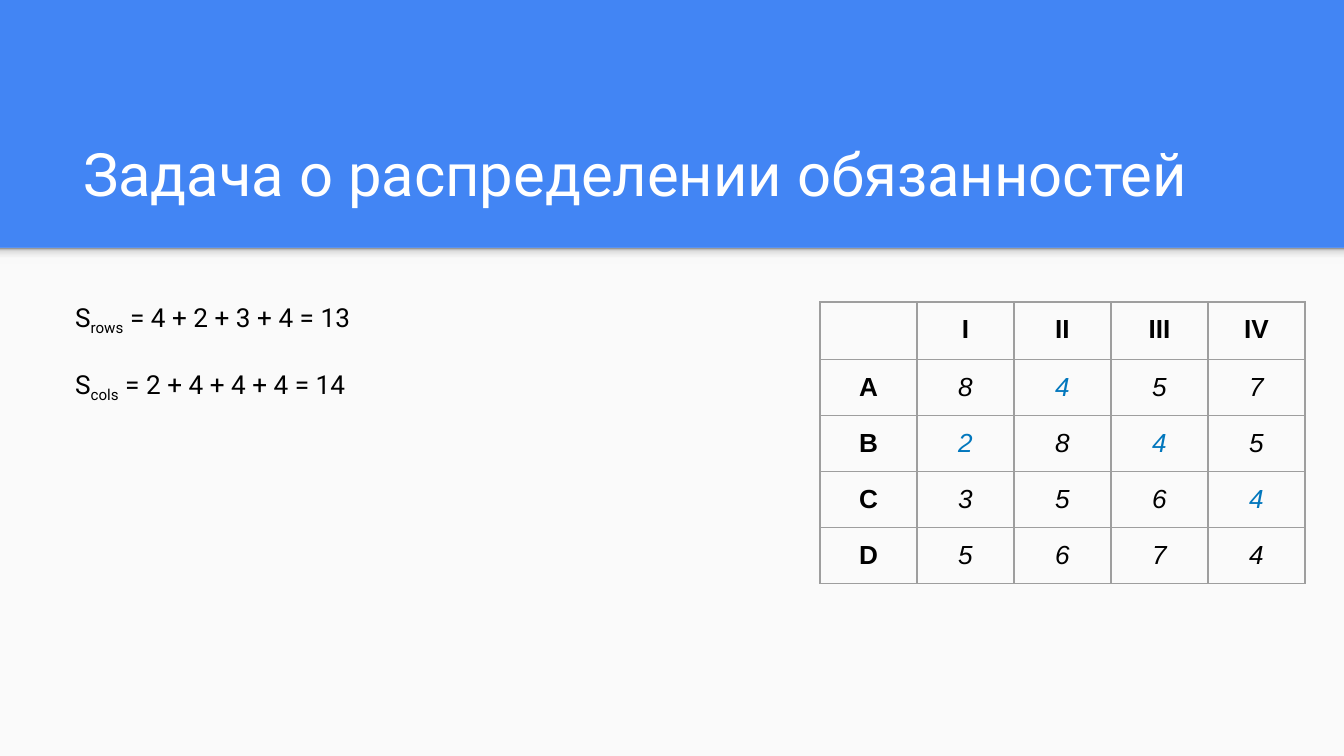
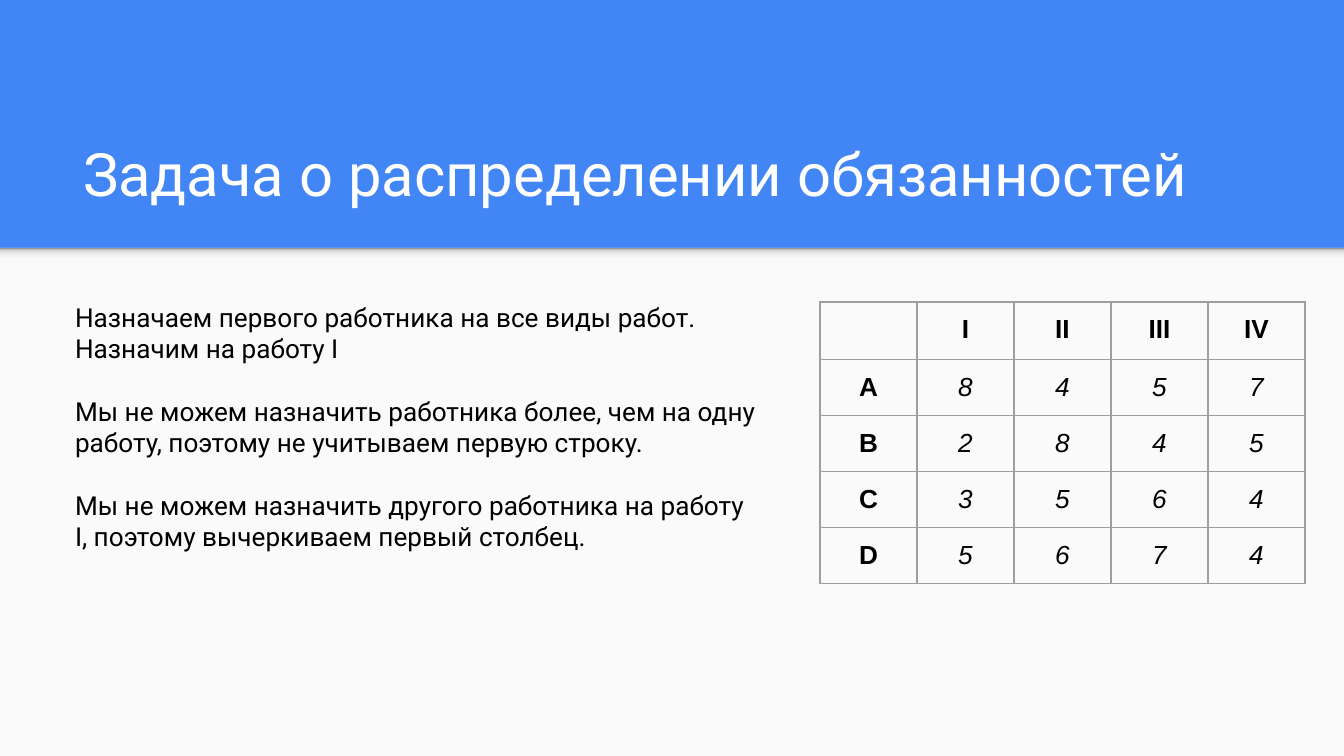
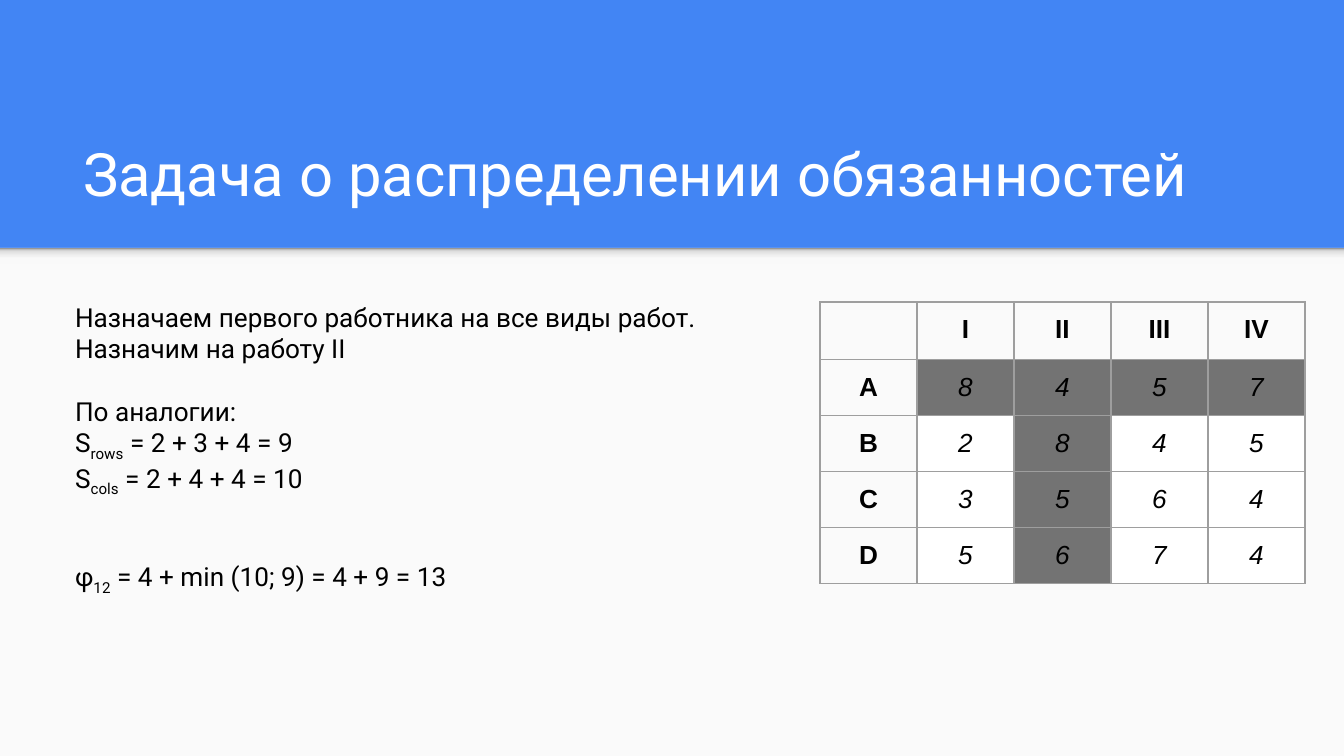
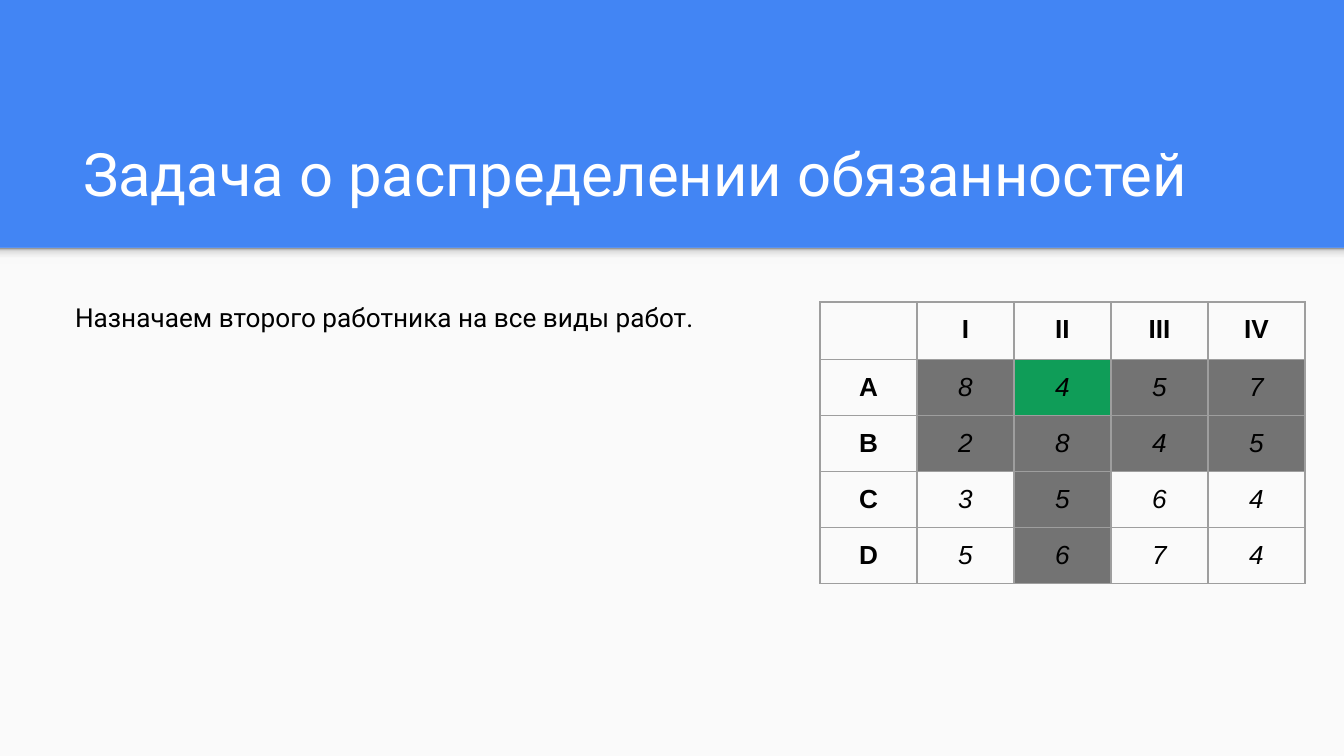
from lxml import etree
from pptx import Presentation, util as u
from pptx.dml.color import RGBColor
from pptx.enum import shapes, text
from pptx.oxml import ns

PX = 914400 / 134.4
WIDTH, HEIGHT, BAND_HEIGHT = 1344, 756, 248
INSET = 13
LINE_GAP = 16.8

COLORS = {
    "band": "4285F4",
    "paper": "FAFAFA",
    "white": "FFFFFF",
    "ink": "000000",
    "minimum": "0277BD",
    "crossed": "737373",
    "chosen": "0F9D58",
    "border": "9E9E9E",
}
SHADOW_STOPS = {0: "F9F9F9", 36: "F9F9F9", 80: "DEDEDE", 100: "999999"}

TITLE_FORMAT = {"name": "Roboto", "size": u.Pt(32), "color": "white"}
BODY_FORMAT = {"name": "Roboto", "size": u.Pt(14), "color": "ink"}
HEADING_FORMAT = {"name": "Arial", "size": u.Pt(14), "bold": True, "color": "ink"}
COST_FORMAT = {"name": "Arial", "size": u.Pt(14), "bold": False, "italic": True, "color": "ink"}

TITLE = "Задача о распределении обязанностей"
JOBS = ["I", "II", "III", "IV"]
WORKERS = "ABCD"
COSTS = [[8, 4, 5, 7], [2, 8, 4, 5], [3, 5, 6, 4], [5, 6, 7, 4]]
FIRST_WORKER = "Назначаем первого работника на все виды работ."


def px(length):
    return u.Emu(round(length * PX))


def rgb(name):
    return RGBColor.from_string(COLORS[name])


def place(shape, left, top, width, height):
    for name, value in zip(("left", "top", "width", "height"), (left, top, width, height)):
        setattr(shape, name, px(value))


def set_margins(target):
    for side in ("left", "top", "right", "bottom"):
        setattr(target, f"margin_{side}", px(INSET))


def add_run(paragraph, content, values, subscript=False):
    run = paragraph.add_run()
    run.text = content
    for name, value in values.items():
        if name == "color":
            run.font.color.rgb = rgb(value)
        else:
            setattr(run.font, name, value)
    if subscript:
        run._r.get_or_add_rPr().set("baseline", "-25000")


def add_backdrop_part(slide, layout, index, height):
    shape = slide.shapes.add_shape(
        shapes.MSO_SHAPE.RECTANGLE, 0, px(BAND_HEIGHT), px(WIDTH), px(height))
    shape.shadow.inherit = False
    shape.line.fill.background()
    shape.fill.solid()
    shape.fill.fore_color.rgb = rgb("paper")
    layout.shapes.element.insert(2 + index, shape.element)
    return shape


def fill_shadow(shape):
    solid = shape.element.spPr.find(ns.qn("a:solidFill"))
    gradient = etree.Element(ns.qn("a:gradFill"), rotWithShape="1")
    stops = etree.SubElement(gradient, ns.qn("a:gsLst"))
    for position, color in SHADOW_STOPS.items():
        stop = etree.SubElement(stops, ns.qn("a:gs"), pos=str(position * 1000))
        etree.SubElement(stop, ns.qn("a:srgbClr"), val=color)
    etree.SubElement(gradient, ns.qn("a:lin"), ang="16200000", scaled="0")
    solid.getparent().replace(solid, gradient)


def build_backdrop(slide, layout):
    layout.background.fill.solid()
    layout.background.fill.fore_color.rgb = rgb("band")
    add_backdrop_part(slide, layout, 0, HEIGHT - BAND_HEIGHT)
    fill_shadow(add_backdrop_part(slide, layout, 1, 16))


def set_title(slide):
    title = slide.shapes.title
    place(title, 70, 109, 1208, 113)
    frame = title.text_frame
    set_margins(frame)
    frame.auto_size = text.MSO_AUTO_SIZE.NONE
    frame.vertical_anchor = text.MSO_ANCHOR.BOTTOM
    frame.paragraphs[0].alignment = text.PP_ALIGN.LEFT
    add_run(frame.paragraphs[0], TITLE, TITLE_FORMAT)


def add_body(slide, paragraphs):
    frame = slide.shapes.add_textbox(px(62), px(288), px(711), px(403)).text_frame
    frame.word_wrap = True
    set_margins(frame)
    for index, (blank_lines, *parts) in enumerate(paragraphs):
        paragraph = frame.add_paragraph() if index else frame.paragraphs[0]
        if blank_lines:
            paragraph.space_before = u.Pt(blank_lines * LINE_GAP)
        for number, part in enumerate(parts):
            add_run(paragraph, part, BODY_FORMAT, subscript=number % 2 == 1)


def set_borders(cell):
    properties = cell._tc.get_or_add_tcPr()
    for index, side in enumerate(("lnL", "lnR", "lnT", "lnB")):
        line = etree.Element(ns.qn(f"a:{side}"), w=str(u.Pt(0.75)))
        fill = etree.SubElement(line, ns.qn("a:solidFill"))
        etree.SubElement(fill, ns.qn("a:srgbClr"), val=COLORS["border"])
        properties.insert(index, line)


def write_cell(cell, content, values, fill=None, anchor=text.MSO_ANCHOR.TOP):
    set_margins(cell)
    cell.vertical_anchor = anchor
    if fill:
        cell.fill.solid()
        cell.fill.fore_color.rgb = rgb(fill)
    else:
        cell.fill.background()
    set_borders(cell)
    paragraph = cell.text_frame.paragraphs[0]
    paragraph.alignment = text.PP_ALIGN.CENTER
    if content:
        add_run(paragraph, content, values)
    else:
        etree.SubElement(paragraph._p, ns.qn("a:endParaRPr"), sz="1400")


def add_cost_table(slide, minima=(), crossed_workers="", crossed_jobs=(), fills=None):
    row_height, column_width, count = 56, 97, len(JOBS) + 1
    table = slide.shapes.add_table(
        count, count, px(820), px(302), px(column_width * count), px(row_height * count)).table
    table.first_row = table.horz_banding = False
    for row, column in zip(table.rows, table.columns):
        row.height, column.width = px(row_height), px(column_width)
    write_cell(table.cell(0, 0), "", HEADING_FORMAT)
    for index, (job, worker) in enumerate(zip(JOBS, WORKERS), 1):
        write_cell(table.cell(0, index), job, HEADING_FORMAT)
        write_cell(table.cell(index, 0), worker, HEADING_FORMAT)
    for row, (worker, costs) in enumerate(zip(WORKERS, COSTS), 1):
        for column, (job, cost) in enumerate(zip(JOBS, costs), 1):
            pair = (worker, job)
            crossed = worker in crossed_workers or job in crossed_jobs
            fill = (fills or {}).get(pair, "crossed" if crossed else None)
            color = "minimum" if pair in minima else "ink"
            write_cell(table.cell(row, column), str(cost), {**COST_FORMAT, "color": color},
                       fill, text.MSO_ANCHOR.MIDDLE)


def main():
    presentation = Presentation()
    presentation.slide_width, presentation.slide_height = px(WIDTH), px(HEIGHT)
    layout = presentation.slide_layouts[5]
    white_cells = {(worker, job): "white" for worker in "BCD" for job in JOBS if job != "II"}
    contents = [
        (
            {"minima": {("A", "II"), ("B", "I"), ("B", "III"), ("C", "IV")}},
            [(0, "S", "rows", " = 4 + 2 + 3 + 4 = 13"),
             (1, "S", "cols", " = 2 + 4 + 4 + 4 = 14")],
        ),
        (
            {},
            [(0, FIRST_WORKER),
             (0, "Назначим на работу I"),
             (1, "Мы не можем назначить работника более, чем на одну работу, "
                 "поэтому не учитываем первую строку."),
             (1, "Мы не можем назначить другого работника на работу I, "
                 "поэтому вычеркиваем первый столбец.")],
        ),
        (
            {"crossed_workers": "A", "crossed_jobs": ["II"], "fills": white_cells},
            [(0, FIRST_WORKER),
             (0, "Назначим на работу II"),
             (1, "По аналогии:"),
             (0, "S", "rows", " = 2 + 3 + 4 = 9"),
             (0, "S", "cols", " = 2 + 4 + 4 = 10"),
             (2, "φ", "12", " = 4 + min (10; 9) = 4 + 9 = 13")],
        ),
        (
            {"crossed_workers": "AB", "crossed_jobs": ["II"],
             "fills": {("A", "II"): "chosen", ("C", "I"): "paper", ("D", "I"): "paper"}},
            [(0, "Назначаем второго работника на все виды работ.")],
        ),
    ]
    for index, (table_options, paragraphs) in enumerate(contents):
        slide = presentation.slides.add_slide(layout)
        if index == 0:
            build_backdrop(slide, layout)
        set_title(slide)
        add_cost_table(slide, **table_options)
        add_body(slide, paragraphs)
    presentation.save("out.pptx")


if __name__ == "__main__":
    main()
